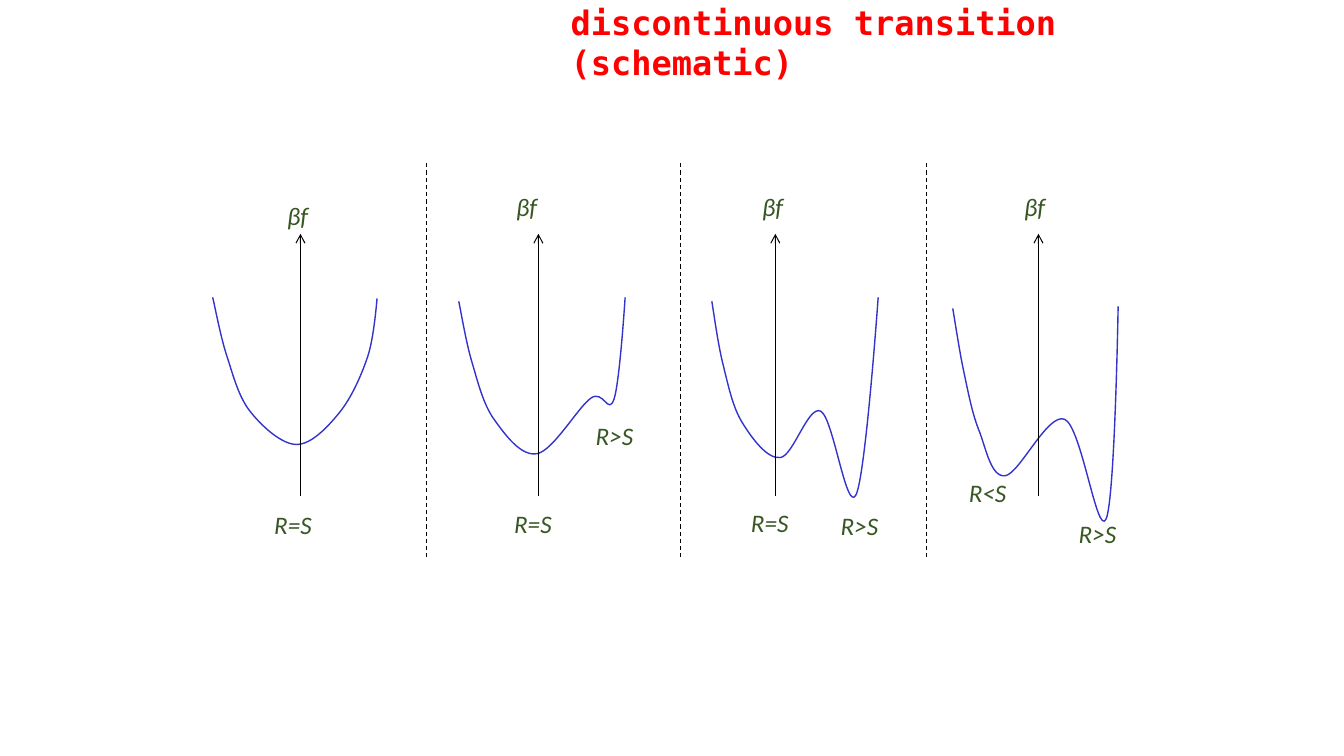
from lxml import etree
from pptx import Presentation
from pptx import util as u
from pptx.dml.color import RGBColor
from pptx.enum import dml, shapes, text
from pptx.oxml import ns

WIDTH, HEIGHT = 13.33, 7.5
PANEL_TOP, PANEL_HEIGHT = 1.62, 3.94
AXIS_TOP, AXIS_LENGTH = 0.7, 2.6
LABEL_HEIGHT = 0.4
BLACK, CURVE_BLUE, LABEL_GREEN, TITLE_RED = "000000", "3333CC", "385723", "FF0000"

PANELS = [
    dict(left=1.71, axis=1.27,
         energy=[(0.4, 1.33), (0.54, 1.91), (0.77, 2.46), (1.23, 2.79),
                 (1.66, 2.47), (1.94, 1.91), (2.03, 1.34)],
         labels=[("βf", 1.04, 0.32), ("R=S", 0.91, 3.38)]),
    dict(left=4.23, axis=1.11,
         energy=[(0.32, 1.37), (0.45, 1.97), (0.67, 2.54), (1.1, 2.88),
                 (1.63, 2.33), (1.86, 2.34), (1.97, 1.33)],
         labels=[("βf", 0.79, 0.23), ("R=S", 0.77, 3.37), ("R>S", 1.58, 2.5)]),
    dict(left=6.75, axis=0.94,
         energy=[(0.31, 1.37), (0.42, 1.99), (0.61, 2.57), (0.99, 2.92),
                 (1.39, 2.46), (1.74, 3.29), (1.96, 1.33)],
         labels=[("βf", 0.71, 0.23), ("R=S", 0.6, 3.36), ("R>S", 1.49, 3.39)]),
    dict(left=9.19, axis=1.11,
         energy=[(0.26, 1.44), (0.37, 2.07), (0.52, 2.65), (0.78, 3.1),
                 (1.37, 2.54), (1.78, 3.53), (1.9, 1.42)],
         labels=[("βf", 0.87, 0.23), ("R<S", 0.32, 3.07), ("R>S", 1.41, 3.47)]),
]


def color(hex_string):
    return RGBColor.from_string(hex_string)


def write(holder, words, font, size, ink, bold=False, italic=False, wrap=False):
    frame = holder.text_frame
    frame.word_wrap = wrap
    frame.auto_size = text.MSO_AUTO_SIZE.SHAPE_TO_FIT_TEXT
    frame.vertical_anchor = text.MSO_ANCHOR.TOP
    line = frame.paragraphs[0]
    line.alignment = text.PP_ALIGN.LEFT
    run = line.add_run()
    run.text = words
    run.font.name, run.font.size = font, u.Pt(size)
    run.font.bold, run.font.italic = bold, italic
    run.font.color.rgb = color(ink)


def add_vertical(slide, x, top, length, dashed=False, arrow=False):
    vertical = slide.shapes.add_connector(
        shapes.MSO_CONNECTOR.STRAIGHT,
        u.Inches(x), u.Inches(top), u.Inches(x), u.Inches(top + length))
    vertical.line.width = u.Pt(0.75)
    vertical.line.color.rgb = color(BLACK)
    if dashed:
        vertical.line.dash_style = dml.MSO_LINE.DASH
    properties = vertical._element.spPr
    if arrow:
        stroke = properties.find(ns.qn("a:ln"))
        etree.SubElement(stroke, ns.qn("a:headEnd"), type="arrow")
    etree.SubElement(properties, ns.qn("a:effectLst"))


def add_smooth_curve(slide, anchors):
    knots = [(u.Inches(x), u.Inches(y)) for x, y in anchors]
    builder = slide.shapes.build_freeform(*knots[0])
    builder.add_line_segments(knots[1:], close=False)
    curve = builder.convert_to_shape()
    curve.shadow.inherit = False
    curve.fill.background()
    curve.line.color.rgb = color(CURVE_BLUE)
    curve.line.width = u.Pt(1)

    last = len(knots) - 1
    tangents = [(0, 0) if i == last else
                tuple((after - before) / 6 for before, after
                      in zip(knots[max(i - 1, 0)], knots[i + 1]))
                for i in range(last + 1)]
    origin = curve.left, curve.top
    for i, segment in enumerate(list(curve._element.iter(ns.qn("a:lnTo")))):
        leaving = [k + t for k, t in zip(knots[i], tangents[i])]
        arriving = [k - t for k, t in zip(knots[i + 1], tangents[i + 1])]
        bezier = etree.Element(ns.qn("a:cubicBezTo"))
        for point in (leaving, arriving, knots[i + 1]):
            x, y = (str(round(p - o)) for p, o in zip(point, origin))
            etree.SubElement(bezier, ns.qn("a:pt"), x=x, y=y)
        segment.getparent().replace(segment, bezier)


def add_title(slide, left, top, width, height):
    title = slide.shapes.title
    title.left, title.top = u.Inches(left), u.Inches(top)
    title.width, title.height = u.Inches(width), u.Inches(height)
    write(title, "discontinuous transition (schematic)", "DejaVu Sans Mono", 24,
          TITLE_RED, bold=True, wrap=True)


def add_panel(slide, left, top, axis, energy, labels):
    add_smooth_curve(slide, [(left + x, top + y) for x, y in energy])
    add_vertical(slide, left + axis, top + AXIS_TOP, AXIS_LENGTH, arrow=True)
    for words, x, y in labels:
        label_width = 0.41 if words == "βf" else 0.58
        label = slide.shapes.add_textbox(
            u.Inches(left + x), u.Inches(top + y),
            u.Inches(label_width), u.Inches(LABEL_HEIGHT))
        write(label, words, "Calibri", 18, LABEL_GREEN, italic=True)


def main():
    deck = Presentation()
    deck.slide_width, deck.slide_height = u.Inches(WIDTH), u.Inches(HEIGHT)
    slide = deck.slides.add_slide(deck.slide_layouts[5])
    add_title(slide, 5.56, -0.03, 6.13, 0.5)
    for panel in PANELS:
        add_panel(slide, top=PANEL_TOP, **panel)
    for panel in PANELS[1:]:
        add_vertical(slide, panel["left"], PANEL_TOP, PANEL_HEIGHT, dashed=True)
    deck.save("out.pptx")


if __name__ == "__main__":
    main()
